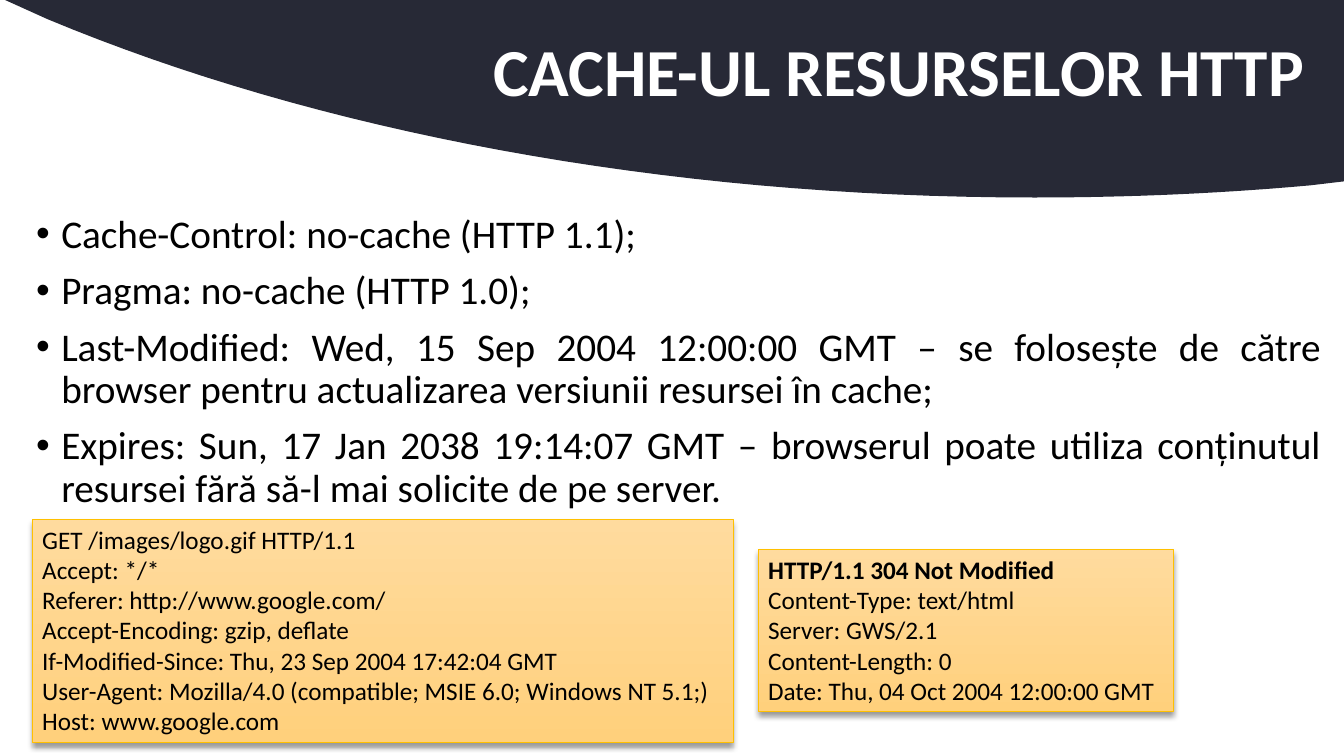
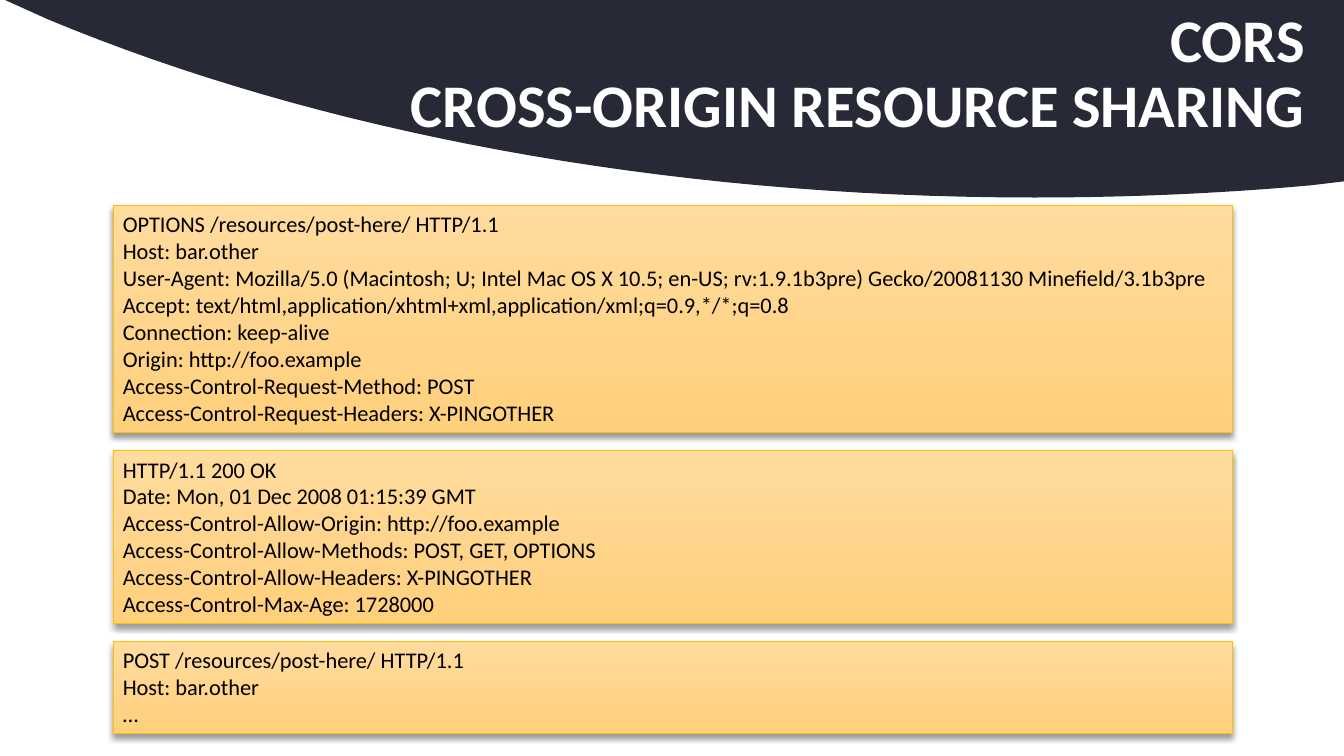
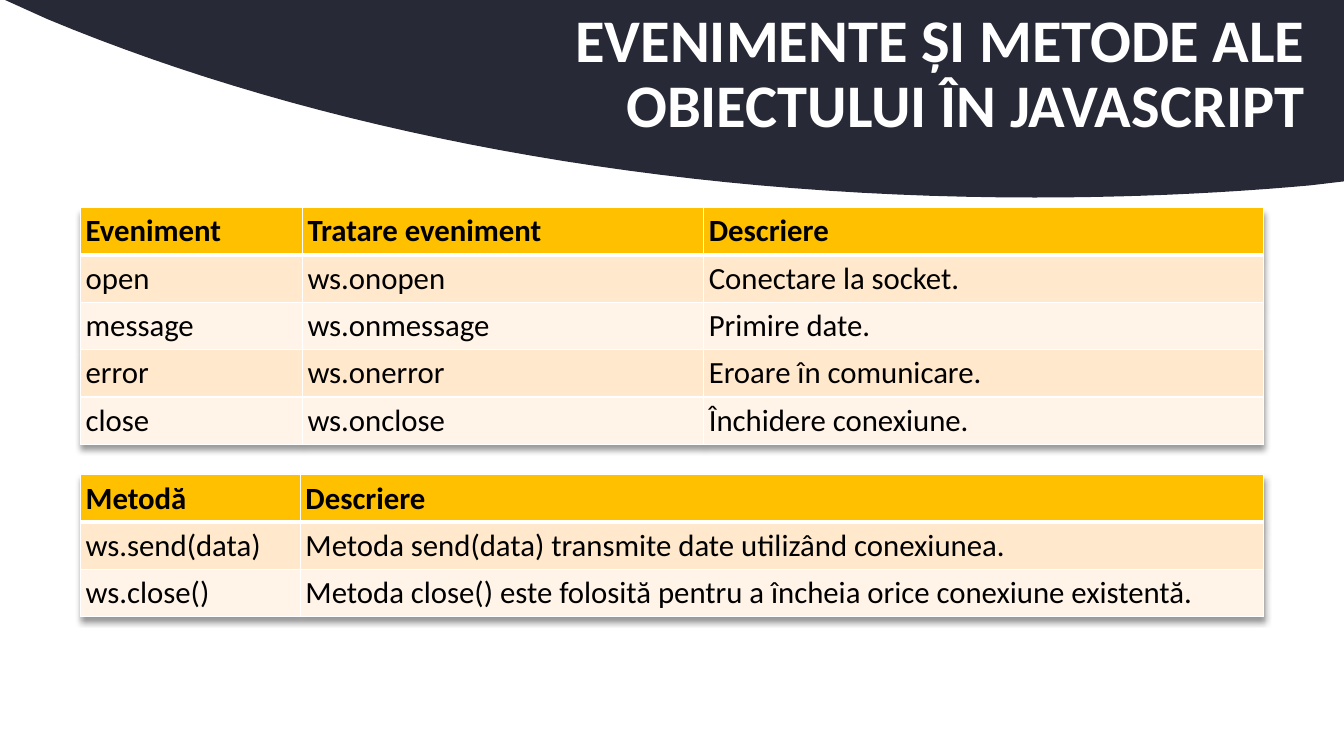
from lxml.etree import SubElement
from pptx import Presentation
from pptx.dml.color import RGBColor
from pptx.enum.shapes import MSO_SHAPE as Preset
from pptx.enum.text import MSO_ANCHOR as Anchor, MSO_AUTO_SIZE as AutoSize, PP_ALIGN as Align
from pptx.oxml import parse_xml
from pptx.oxml.ns import nsdecls, qn
from pptx.util import Inches, Pt


def rgb(value):
    return RGBColor.from_string(value)


def curve(start, control_1, control_2, end, steps=32):
    points = []
    for step in range(1, steps + 1):
        t = step / steps
        weights = ((1 - t) ** 3, 3 * t * (1 - t) ** 2, 3 * t * t * (1 - t), t ** 3)
        corners = zip(start, control_1, control_2, end)
        points.append(tuple(sum(w * c for w, c in zip(weights, axis)) for axis in corners))
    return points


def add_shadow(effects):
    effects.append(parse_xml(
        f'<a:outerShdw {nsdecls("a")} blurRad="{Pt(4)}" dist="{Pt(3)}" dir="5400000" algn="t" '
        'rotWithShape="0"><a:srgbClr val="000000"><a:alpha val="40000"/></a:srgbClr></a:outerShdw>'))


class Deck:
    FONT = "Calibri"
    BAND = "272936"
    LIGHT = "FFFFFF"
    DARK = "000000"
    ACCENT = "FFC000"
    CODE_GRADIENT = ("FFDB9E", "FFD07C")
    ROW_FILLS = ("FFE8CC", "FFF4E7")
    LINE_HEIGHT = 1.21
    ROW_HEIGHT = 0.47

    def __init__(self):
        self.presentation = Presentation()
        self.presentation.slide_width = Inches(13.33)
        self.presentation.slide_height = Inches(7.5)
        self.slide = None

    def add_slide(self, title, size):
        self.slide = self.presentation.slides.add_slide(self.presentation.slide_layouts[6])
        self.add_band()
        frame = self.text_box(0.92, 0.02, 12.42, 1.45)
        frame.vertical_anchor = Anchor.MIDDLE
        frame.margin_right = Inches(0.4)
        paragraph = frame.paragraphs[0]
        paragraph.text = title
        paragraph.alignment = Align.RIGHT
        paragraph.line_spacing = 0.9
        self.style(paragraph, size, self.LIGHT, True)

    def add_band(self):
        points = [(13.33, 0), (13.33, 1.8), (12.99, 1.84)]
        points += curve((12.99, 1.84), (12.1, 1.92), (11.19, 1.96), (10.26, 1.96))
        points += curve((10.26, 1.96), (6.54, 1.96), (3.13, 1.3), (0.47, 0.19))
        builder = self.slide.shapes.build_freeform(Inches(0.05), 0)
        builder.add_line_segments([(Inches(x), Inches(y)) for x, y in points])
        band = builder.convert_to_shape()
        band.shadow.inherit = False
        band.fill.solid()
        band.fill.fore_color.rgb = rgb(self.BAND)
        band.line.fill.background()

    def text_box(self, left, top, width, height):
        frame = self.slide.shapes.add_textbox(
            Inches(left), Inches(top), Inches(width), Inches(height)).text_frame
        frame.word_wrap = True
        return frame

    def style(self, paragraph, size, color, bold=False):
        font = paragraph.font
        font.name = self.FONT
        font.size = Pt(size)
        font.bold = bold
        font.color.rgb = rgb(color)

    def fill_paragraphs(self, frame, texts):
        for index, text in enumerate(texts):
            paragraph = frame.paragraphs[0] if index == 0 else frame.add_paragraph()
            paragraph.text = text
            yield paragraph

    def add_bullets(self, left, top, width, height, texts):
        frame = self.text_box(left, top, width, height)
        for index, paragraph in enumerate(self.fill_paragraphs(frame, texts)):
            paragraph.alignment = Align.JUSTIFY
            paragraph.line_spacing = 0.9
            paragraph.space_before = Pt(10 if index else 0)
            properties = paragraph._p.get_or_add_pPr()
            properties.set("marL", str(Inches(0.25)))
            properties.set("indent", str(Inches(-0.25)))
            SubElement(properties, qn("a:buFont"), typeface="Arial")
            SubElement(properties, qn("a:buChar"), char="•")
            self.style(paragraph, 28, self.DARK)

    def add_code(self, left, top, width, size, texts, bold_first_line=False):
        line_count = sum(len(text.split("\n")) for text in texts)
        height = line_count * size * self.LINE_HEIGHT / 72 + 0.1
        shape = self.slide.shapes.add_shape(
            Preset.RECTANGLE, Inches(left), Inches(top), Inches(width), Inches(height))
        shape.fill.gradient()
        shape.fill.gradient_angle = 270
        for stop, color in zip(shape.fill.gradient_stops, self.CODE_GRADIENT):
            stop.color.rgb = rgb(color)
        shape.line.color.rgb = rgb(self.ACCENT)
        shape.line.width = Pt(0.5)
        shape.shadow.inherit = False
        add_shadow(shape._element.spPr.find(qn("a:effectLst")))
        frame = shape.text_frame
        frame.word_wrap = True
        frame.auto_size = AutoSize.SHAPE_TO_FIT_TEXT
        frame.vertical_anchor = Anchor.TOP
        for paragraph in self.fill_paragraphs(frame, texts):
            paragraph.alignment = Align.LEFT
            self.style(paragraph, size, self.DARK)
        if bold_first_line:
            frame.paragraphs[0].runs[0].font.bold = True
        return top + height

    def add_table(self, left, top, widths, rows):
        table = self.slide.shapes.add_table(
            len(rows), len(widths), Inches(left), Inches(top),
            Inches(sum(widths)), Inches(self.ROW_HEIGHT * len(rows))).table
        table.horz_banding = False
        effects = parse_xml(f'<a:effectLst {nsdecls("a")}/>')
        add_shadow(effects)
        table._tbl.tblPr.insert(0, effects)
        for column, width in zip(table.columns, widths):
            column.width = Inches(width)
        for row_index, texts in enumerate(rows):
            table.rows[row_index].height = Inches(self.ROW_HEIGHT)
            for column_index, text in enumerate(texts):
                self.fill_cell(table.cell(row_index, column_index), text, row_index)

    def fill_cell(self, cell, text, row_index):
        cell.margin_left = cell.margin_right = Inches(0.05)
        borders = {"L": 1, "R": 1, "T": 3 if row_index == 1 else 1, "B": 1 if row_index else 3}
        for side, width in borders.items():
            cell._tc.get_or_add_tcPr().append(parse_xml(
                f'<a:ln{side} {nsdecls("a")} w="{Pt(width)}"><a:solidFill>'
                f'<a:srgbClr val="{self.LIGHT}"/></a:solidFill></a:ln{side}>'))
        cell.fill.solid()
        cell.fill.fore_color.rgb = rgb(
            self.ROW_FILLS[(row_index - 1) % 2] if row_index else self.ACCENT)
        paragraph = cell.text_frame.paragraphs[0]
        paragraph.text = text
        self.style(paragraph, 22, self.DARK, row_index == 0)


def main():
    deck = Deck()

    deck.add_slide("CACHE-UL RESURSELOR HTTP", 48)
    deck.add_bullets(0.26, 2.08, 12.94, 3.25, [
        "Cache-Control: no-cache (HTTP 1.1);",
        "Pragma: no-cache (HTTP 1.0);",
        "Last-Modified: Wed, 15 Sep 2004 12:00:00 GMT – se folosește de către browser "
        "pentru actualizarea versiunii resursei în cache;",
        "Expires: Sun, 17 Jan 2038 19:14:07 GMT – browserul poate utiliza conținutul "
        "resursei fără să-l mai solicite de pe server.",
    ])
    deck.add_code(0.32, 5.15, 6.95, 18, [
        "GET /images/logo.gif HTTP/1.1\n"
        "Accept: */*\n"
        "Referer: http://www.google.com/\n"
        "Accept-Encoding: gzip, deflate\n"
        "If-Modified-Since: Thu, 23 Sep 2004 17:42:04 GMT\n"
        "User-Agent: Mozilla/4.0 (compatible; MSIE 6.0; Windows NT 5.1;)\n"
        "Host: www.google.com",
    ])
    deck.add_code(7.52, 5.45, 4.12, 18, [
        "HTTP/1.1 304 Not Modified\n"
        "Content-Type: text/html\n"
        "Server: GWS/2.1\n"
        "Content-Length: 0\n"
        "Date: Thu, 04 Oct 2004 12:00:00 GMT",
    ], bold_first_line=True)

    deck.add_slide("CORS\nCROSS-ORIGIN RESOURCE SHARING", 43.2)
    messages = [
        [
            "OPTIONS /resources/post-here/ HTTP/1.1",
            "Host: bar.other",
            "User-Agent: Mozilla/5.0 (Macintosh; U; Intel Mac OS X 10.5; en-US; rv:1.9.1b3pre) "
            "Gecko/20081130 Minefield/3.1b3pre",
            "Accept: text/html,application/xhtml+xml,application/xml;q=0.9,*/*;q=0.8",
            "Connection: keep-alive",
            "Origin: http://foo.example",
            "Access-Control-Request-Method: POST",
            "Access-Control-Request-Headers: X-PINGOTHER",
        ],
        [
            "HTTP/1.1 200 OK",
            "Date: Mon, 01 Dec 2008 01:15:39 GMT",
            "Access-Control-Allow-Origin: http://foo.example",
            "Access-Control-Allow-Methods: POST, GET, OPTIONS",
            "Access-Control-Allow-Headers: X-PINGOTHER",
            "Access-Control-Max-Age: 1728000",
        ],
        ["POST /resources/post-here/ HTTP/1.1", "Host: bar.other", "…"],
    ]
    top = 2.04
    for message in messages:
        top = deck.add_code(1.12, top, 11.1, 16, message) + 0.18

    deck.add_slide("EVENIMENTE ȘI METODE ALE\nOBIECTULUI ÎN JAVASCRIPT", 43.2)
    deck.add_table(0.8, 2.06, [2.2, 3.98, 5.55], [
        ("Eveniment", "Tratare eveniment", "Descriere"),
        ("open", "ws.onopen", "Conectare la socket."),
        ("message", "ws.onmessage", "Primire date."),
        ("error", "ws.onerror", "Eroare în comunicare."),
        ("close", "ws.onclose", "Închidere conexiune."),
    ])
    deck.add_table(0.8, 4.71, [2.18, 9.55], [
        ("Metodă", "Descriere"),
        ("ws.send(data)", "Metoda send(data) transmite date utilizând conexiunea."),
        ("ws.close()", "Metoda close() este folosită pentru a încheia orice conexiune existentă."),
    ])

    deck.presentation.save("out.pptx")


if __name__ == "__main__":
    main()
